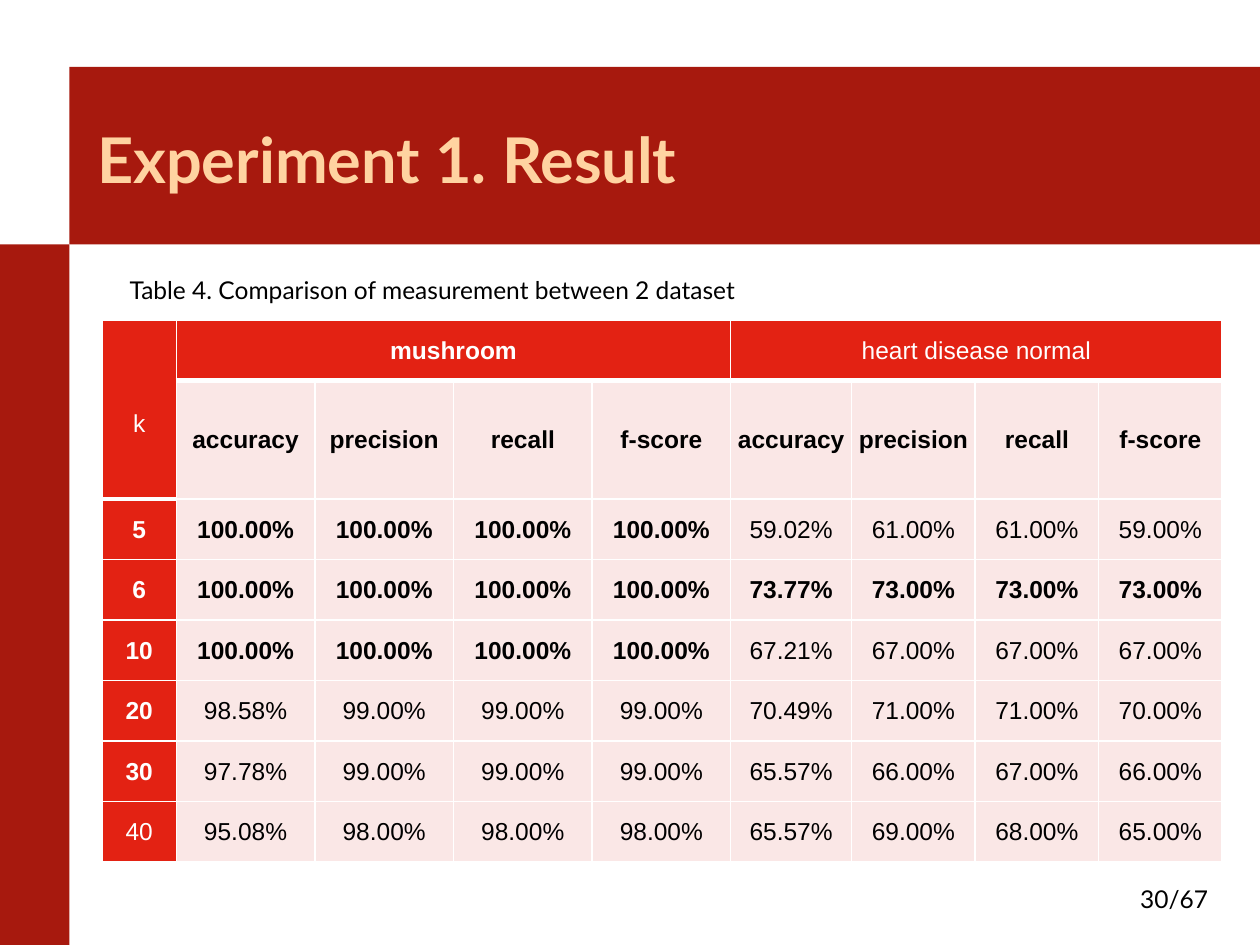
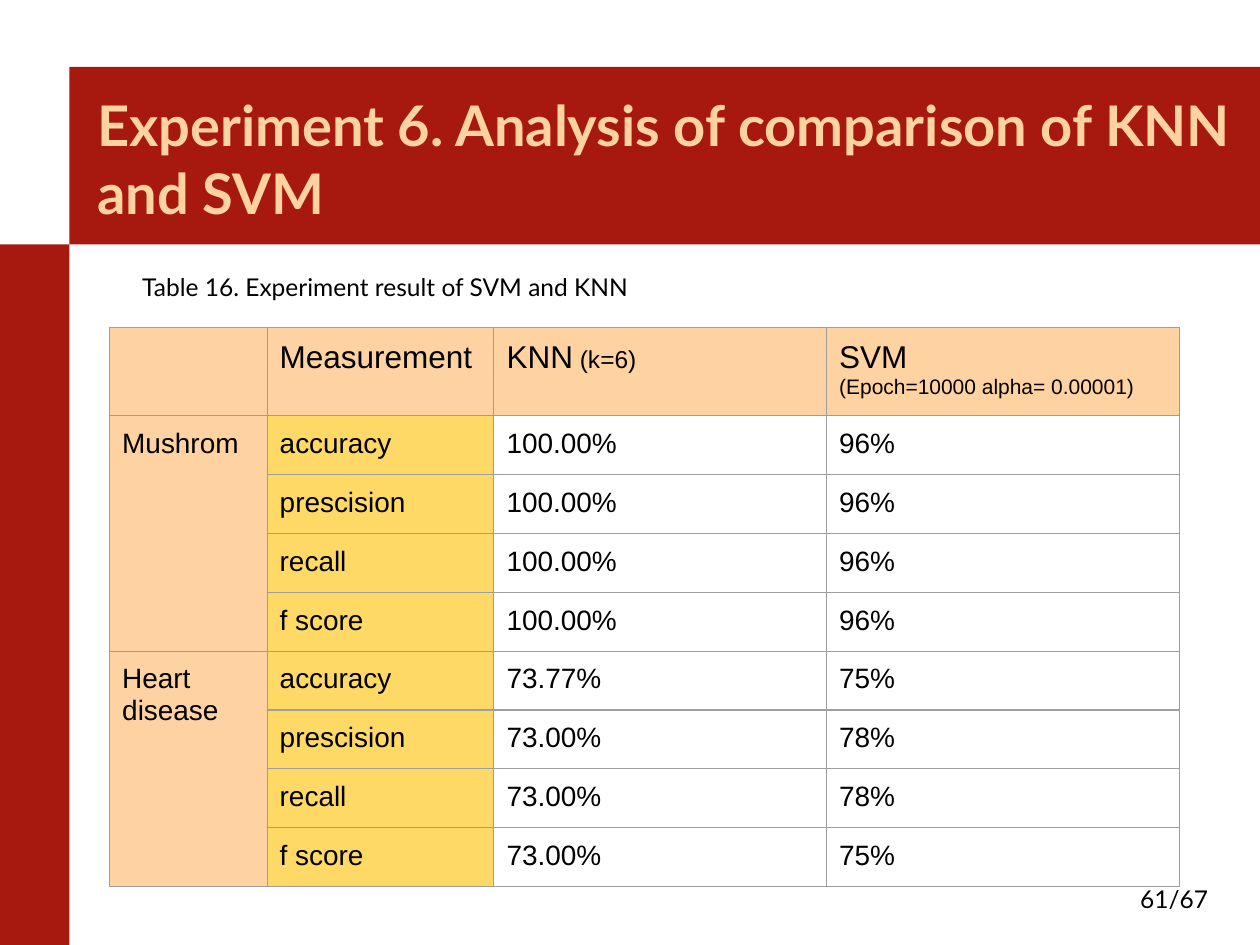
from dataclasses import dataclass
from typing import NamedTuple

from lxml import etree
from pptx import Presentation
from pptx.dml.color import RGBColor
from pptx.enum.shapes import MSO_SHAPE
from pptx.enum.text import MSO_ANCHOR, MSO_AUTO_SIZE, PP_ALIGN
from pptx.oxml.ns import qn
from pptx.util import Inches, Pt

RECT = MSO_SHAPE.RECTANGLE
TOP, MIDDLE = MSO_ANCHOR.TOP, MSO_ANCHOR.MIDDLE
LEFT, CENTER = PP_ALIGN.LEFT, PP_ALIGN.CENTER
NO_FIT = MSO_AUTO_SIZE.NONE
TITLE_ONLY = 5
SIDES = ("L", "R", "T", "B")


@dataclass(frozen=True)
class Theme:
    band: str = "A7190E"
    peach: str = "FFD3A1"
    red: str = "E32213"
    blush: str = "FAE7E6"
    gold: str = "FFD966"
    grey: str = "9E9E9E"
    white: str = "FFFFFF"
    black: str = "000000"
    head: str = "Lato"
    body: str = "Arial"
    tiny: int = 12
    small: int = 14
    mid: int = 16
    large: int = 18


class Box(NamedTuple):
    left: float
    top: float
    width: float
    height: float

    def place(self) -> tuple:
        return tuple(Inches(v) for v in self)


class Page(NamedTuple):
    title: str
    size: int
    note: str
    spot: Box
    number: str


THEME = Theme()
BANDS = (Box(0.55, 0.53, 9.45, 1.41), Box(0, 1.94, 0.55, 5.56))
TITLE = Box(0.67, 0.69, 9.21, 1.13)
NUMBER = Box(8.95, 6.92, 0.85, 0.46)

FIRST = Page("Experiment 1. Result", 36,
             "Table 4. Comparison of measurement between 2 dataset",
             Box(0.93, 2.08, 7.19, 0.33), "30/67")
SECOND = Page("Experiment 6. Analysis of comparison of KNN and SVM", 32,
              "Table 16. Experiment result of SVM and KNN",
              Box(1.03, 2.06, 6.29, 0.39), "61/67")

SCORES = {
    5: (100, 100, 100, 100, 59.02, 61, 61, 59),
    6: (100, 100, 100, 100, 73.77, 73, 73, 73),
    10: (100, 100, 100, 100, 67.21, 67, 67, 67),
    20: (98.58, 99, 99, 99, 70.49, 71, 71, 70),
    30: (97.78, 99, 99, 99, 65.57, 66, 67, 66),
    40: (95.08, 98, 98, 98, 65.57, 69, 68, 65),
}
RIVALS = {
    "Mushrom": ((100, 96), (100, 96), (100, 96), (100, 96)),
    "Heart disease": ((73.77, 75), (73, 78), (73, 78), (73, 75)),
}


def rgb(code: str) -> RGBColor:
    return RGBColor.from_string(code)


def write(para, text: str, *, size: int, font: str = THEME.body,
          color: str = THEME.black, bold: bool = False, align=LEFT) -> None:
    para.alignment = align
    run = para.add_run()
    run.text = text
    run.font.name = font
    run.font.size = Pt(size)
    run.font.bold = bold
    run.font.color.rgb = rgb(color)


def inset(frame, side: float, top: float, base: float) -> None:
    frame.margin_left = frame.margin_right = Inches(side)
    frame.margin_top = Inches(top)
    frame.margin_bottom = Inches(base)


def label(slide, box: Box, text: str) -> None:
    frame = slide.shapes.add_textbox(*box.place()).text_frame
    frame.word_wrap = True
    inset(frame, 0.1, 0.1, 0.1)
    write(frame.paragraphs[0], text, size=THEME.small, font=THEME.head)


def edge(cell, side: str, color: str, width: float) -> None:
    props = cell._tc.get_or_add_tcPr()
    tag = qn(f"a:ln{side}")
    for old in props.findall(tag):
        props.remove(old)
    line = etree.Element(tag, w=str(Pt(width)))
    fill = etree.SubElement(line, qn("a:solidFill"))
    etree.SubElement(fill, qn("a:srgbClr"), val=color)
    props.insert(SIDES.index(side), line)


def paint(cell, fill: str, line: str, width: float) -> None:
    cell.fill.solid()
    cell.fill.fore_color.rgb = rgb(fill)
    for side in SIDES:
        edge(cell, side, line, width)


def grid(slide, left: float, top: float, cols: list, rows: list):
    box = Box(left, top, sum(cols), sum(rows))
    table = slide.shapes.add_table(len(rows), len(cols), *box.place()).table
    table.first_row = table.horz_banding = False
    for col, width in zip(table.columns, cols):
        col.width = Inches(width)
    for row, height in zip(table.rows, rows):
        row.height = Inches(height)
    return table


def dress(layout, slide) -> None:
    for spot, box in enumerate(BANDS, 2):
        band = slide.shapes.add_shape(RECT, *box.place())
        band.shadow.inherit = False
        band.fill.solid()
        band.fill.fore_color.rgb = rgb(THEME.band)
        band.line.fill.background()
        layout.shapes.element.insert(spot, band.element)


def start(slide, page: Page) -> None:
    title = slide.shapes.title
    title.left, title.top, title.width, title.height = TITLE.place()
    frame = title.text_frame
    frame.auto_size = NO_FIT
    frame.word_wrap = True
    frame.vertical_anchor = MIDDLE
    inset(frame, 0.1, 0.05, 0.05)
    write(frame.paragraphs[0], page.title, size=page.size, font=THEME.head,
          color=THEME.peach, bold=True)
    label(slide, page.spot, page.note)
    label(slide, NUMBER, page.number)


def score(slide) -> None:
    names = ["accuracy", "precision", "recall", "f-score"]
    rows = [["k", "mushroom", "", "", "", "heart disease normal", "", "", ""],
            ["", *names, *names]]
    rows += [[str(k), *(f"{v:.2f}%" for v in vals)]
             for k, vals in SCORES.items()]
    best = [max(col) for col in zip(*SCORES.values())]
    table = grid(slide, 0.81, 2.54, [0.59] + [1.1] * 4 + [0.96] + [0.98] * 3,
                 [0.48, 0.94] + [0.48] * 6)
    plain = ("k", "heart disease normal", "40")
    for r, row in enumerate(rows):
        for c, text in enumerate(row):
            cell = table.cell(r, c)
            key = r == 0 or c == 0
            paint(cell, THEME.red if key else THEME.blush, THEME.white, 1)
            inset(cell, 0.01, 0.01, 0)
            cell.vertical_anchor = MIDDLE
            if not text:
                continue
            if key:
                bold = text not in plain
            else:
                bold = r == 1 or text == f"{best[c - 1]:.2f}%"
            write(cell.text_frame.paragraphs[0], text, size=THEME.small,
                  color=THEME.white if key else THEME.black, bold=bold,
                  align=CENTER)
    table.cell(0, 0).margin_top = Inches(0.23)
    for c in range(len(rows[0])):
        last = 0 if c else 1
        edge(table.cell(last, c), "B", THEME.white, 3)
        edge(table.cell(last + 1, c), "T", THEME.white, 3)
    edge(table.cell(0, 0), "B", THEME.white, 3)
    table.cell(0, 0).merge(table.cell(1, 0))
    for c in (1, 5):
        table.cell(0, c).merge(table.cell(0, c + 3))


def rival(slide) -> None:
    names = ["accuracy", "prescision", "recall", "f score"]
    rows = [["", "Measurement", "KNN", "SVM"]]
    for group, pairs in RIVALS.items():
        for i, (name, (knn, svm)) in enumerate(zip(names, pairs)):
            rows.append(["" if i else group, name, f"{knn:.2f}%", f"{svm}%"])
    table = grid(slide, 0.87, 2.6, [1.25, 1.8, 2.64, 2.8],
                 [0.65] + [0.44] * 8)
    for r, row in enumerate(rows):
        for c, text in enumerate(row):
            cell = table.cell(r, c)
            fills = (THEME.peach, THEME.gold, THEME.white, THEME.white)
            paint(cell, fills[c] if r else THEME.peach, THEME.grey, 0.75)
            cell.vertical_anchor = TOP
            if text:
                inset(cell, 0.1, 0.1, 0.1)
                write(cell.text_frame.paragraphs[0], text,
                      size=THEME.mid if r else THEME.large)
    write(table.cell(0, 2).text_frame.paragraphs[0], " (k=6)",
          size=THEME.small)
    write(table.cell(0, 3).text_frame.add_paragraph(),
          "(Epoch=10000 alpha= 0.00001)", size=THEME.tiny)
    for r in (1, 5):
        table.cell(r, 0).merge(table.cell(r + 3, 0))


def main() -> None:
    deck = Presentation()
    deck.slide_width, deck.slide_height = Inches(10), Inches(7.5)
    layout = deck.slide_layouts[TITLE_ONLY]
    for page, fill in ((FIRST, score), (SECOND, rival)):
        slide = deck.slides.add_slide(layout)
        if page is FIRST:
            dress(layout, slide)
        start(slide, page)
        fill(slide)
    deck.save("out.pptx")


if __name__ == "__main__":
    main()
